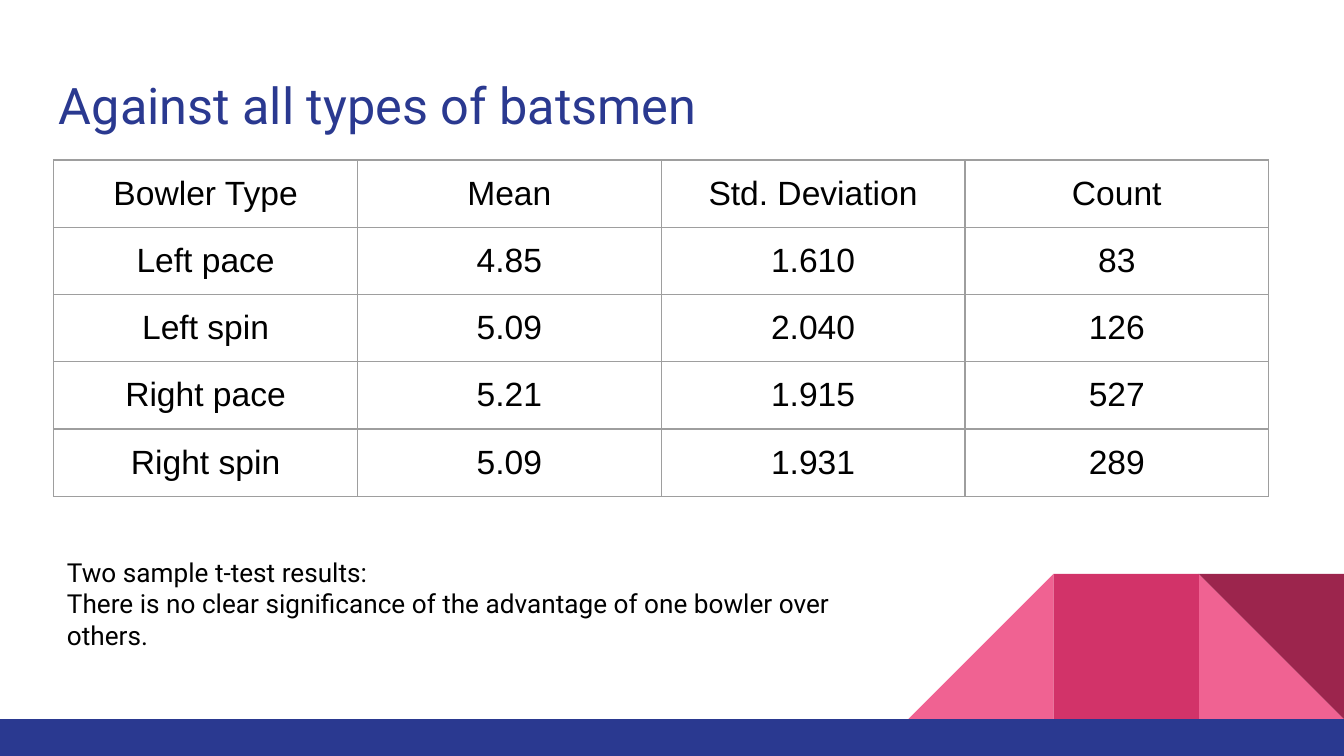
from lxml.etree import SubElement
from pptx import Presentation
from pptx.dml.color import RGBColor
from pptx.enum.shapes import MSO_SHAPE as Preset
from pptx.enum.text import MSO_ANCHOR as Anchor, PP_ALIGN as Align
from pptx.oxml.ns import qn
from pptx.util import Inches, Pt

WIDTH, HEIGHT = 10, 5.625
TILE = 1.08
BAR_TOP = 5.35
MARGIN = 0.4
COLUMN, ROW = 2.26, 0.5
INSET = Inches(0.1)

WHITE = RGBColor(0xFF, 0xFF, 0xFF)
BLACK = RGBColor(0x00, 0x00, 0x00)
NAVY = RGBColor(0x2A, 0x39, 0x90)
PINK = RGBColor(0xF0, 0x62, 0x92)
CRIMSON = RGBColor(0xD2, 0x33, 0x69)
MAROON = RGBColor(0x9C, 0x25, 0x4D)
GRAY = RGBColor(0x9E, 0x9E, 0x9E)

TITLE_FONT = {"name": "Roboto", "size": Pt(27)}
NOTE_FONT = {"name": "Roboto", "size": Pt(14)}
CELL_FONT = {"name": "Arial", "size": Pt(18)}
INSETS = {f"margin_{side}": INSET for side in ("left", "top", "right", "bottom")}

RESULTS = [
    ("Bowler Type", "Mean", "Std. Deviation", "Count"),
    ("Left pace", "4.85", "1.610", "83"),
    ("Left spin", "5.09", "2.040", "126"),
    ("Right pace", "5.21", "1.915", "527"),
    ("Right spin", "5.09", "1.931", "289"),
]
NOTES = [
    "Two sample t-test results:",
    "There is no clear significance of the advantage of one bowler over others.",
]


def apply_format(target, values):
    """Set every named attribute on the target."""
    for name, value in values.items():
        setattr(target, name, value)


def style_paragraph(paragraph, font, color):
    """Give a paragraph its font and colour."""
    apply_format(paragraph.font, font)
    paragraph.font.color.rgb = color


def add_block(slide, preset, box, color, rotation=0):
    """Add a plain filled shape without outline or shadow."""
    shape = slide.shapes.add_shape(preset, *map(Inches, box))
    shape.shadow.inherit = False
    shape.fill.solid()
    shape.fill.fore_color.rgb = color
    shape.line.fill.background()
    shape.rotation = rotation
    return shape


def add_footer(slide):
    """Add the row of tiles in the corner and the bar below it."""
    tiles = [
        (1, Preset.RIGHT_TRIANGLE, PINK, 0),
        (3, Preset.RIGHT_TRIANGLE, PINK, 0),
        (2, Preset.RECTANGLE, CRIMSON, 0),
        (1, Preset.RIGHT_TRIANGLE, MAROON, 180),
    ]
    for place, preset, color, rotation in tiles:
        box = (WIDTH - place * TILE, BAR_TOP - TILE, TILE, TILE)
        tile = add_block(slide, preset, box, color, rotation)
        if place == 3:
            tile._element.spPr.get_or_add_xfrm().set("flipH", "1")
    add_block(slide, Preset.RECTANGLE, (0, BAR_TOP, WIDTH, HEIGHT - BAR_TOP), NAVY)


def add_text(slide, box, lines, font, color, anchor):
    """Add a wrapped text box with one paragraph per line."""
    frame = slide.shapes.add_textbox(*map(Inches, box)).text_frame
    apply_format(frame, {"word_wrap": True, "vertical_anchor": anchor, **INSETS})
    frame.text = "\n".join(lines)
    for paragraph in frame.paragraphs:
        style_paragraph(paragraph, font, color)


def add_borders(cell):
    """Draw a thin line on all four sides of a cell."""
    properties = cell._tc.get_or_add_tcPr()
    for index, side in enumerate(("lnL", "lnR", "lnT", "lnB")):
        line = properties.makeelement(qn(f"a:{side}"), {"w": str(Pt(0.75))})
        fill = SubElement(line, qn("a:solidFill"))
        SubElement(fill, qn("a:srgbClr"), val=str(GRAY))
        properties.insert(index, line)


def add_results(slide, left, top):
    """Add the table of bowling results."""
    rows, columns = len(RESULTS), len(RESULTS[0])
    box = (left, top, columns * COLUMN, rows * ROW)
    table = slide.shapes.add_table(rows, columns, *map(Inches, box)).table
    apply_format(table, {"first_row": False, "horz_banding": False})
    for row, values in enumerate(RESULTS):
        for column, value in enumerate(values):
            cell = table.cell(row, column)
            cell.text = value
            apply_format(cell, {"vertical_anchor": Anchor.MIDDLE, **INSETS})
            cell.fill.background()
            paragraph = cell.text_frame.paragraphs[0]
            paragraph.alignment = Align.CENTER
            style_paragraph(paragraph, CELL_FONT, BLACK)
            add_borders(cell)


def main():
    """Build the slide and save it."""
    presentation = Presentation()
    apply_format(
        presentation,
        {"slide_width": Inches(WIDTH), "slide_height": Inches(HEIGHT)},
    )
    slide = presentation.slides.add_slide(presentation.slide_layouts[6])
    slide.background.fill.solid()
    slide.background.fill.fore_color.rgb = WHITE
    add_footer(slide)
    add_text(slide, (0.34, 0.45, 9.32, 0.66), ["Against all types of batsmen"],
             TITLE_FONT, NAVY, Anchor.MIDDLE)
    add_results(slide, MARGIN, 1.19)
    add_text(slide, (MARGIN, 4.04, 6.33, 1.14), NOTES, NOTE_FONT, BLACK, Anchor.TOP)
    presentation.save("out.pptx")


if __name__ == "__main__":
    main()
